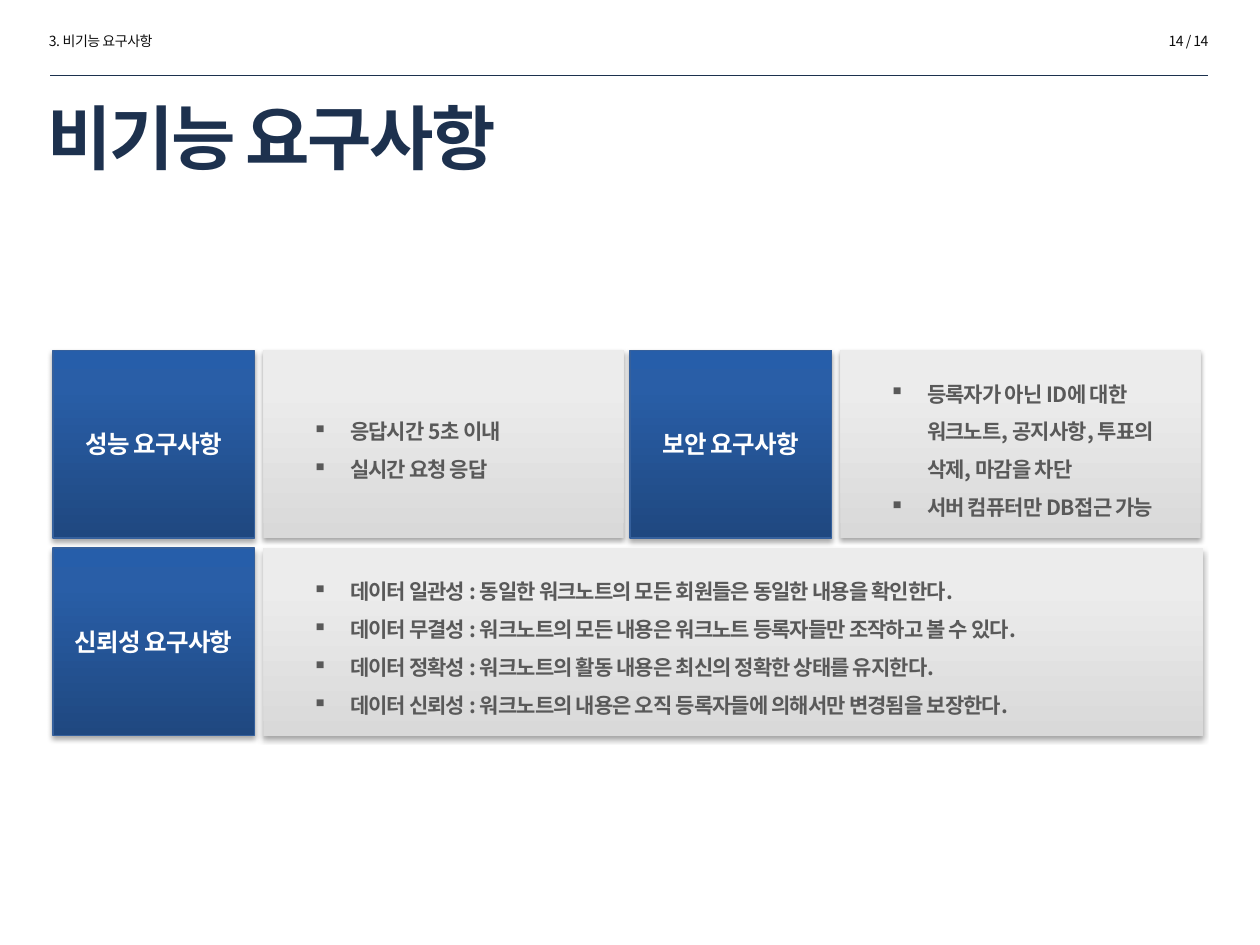
from lxml.etree import SubElement
from pptx import Presentation
from pptx.dml.color import RGBColor
from pptx.enum.shapes import MSO_CONNECTOR, MSO_SHAPE
from pptx.enum.text import MSO_ANCHOR, PP_ALIGN
from pptx.oxml import parse_xml
from pptx.oxml.ns import nsdecls, qn
from pptx.util import Inches, Pt

FONT = "Noto Sans CJK KR"
BLUE = [(0, "1F4880"), (80, "295EA7"), (100, "265EAA")]
GRAY = [(0, "D9D9D9"), (80, "ECECEC")]


def write(shape, lines, size, color, spacing, bold=False, align=PP_ALIGN.LEFT,
          anchor=MSO_ANCHOR.TOP, bullets=False):
    """Fill a shape with one paragraph per line; spacing is in points."""
    frame = shape.text_frame
    frame.word_wrap = True
    frame.vertical_anchor = anchor
    for index, line in enumerate(lines):
        paragraph = frame.add_paragraph() if index else frame.paragraphs[0]
        paragraph.alignment = align
        if bullets:
            paragraph.line_spacing = 1.5
            properties = paragraph._p.get_or_add_pPr()
            properties.set("marL", str(Inches(0.59)))
            properties.set("indent", str(Inches(-0.3)))
            SubElement(properties, qn("a:buChar"), char="▪")
        span = paragraph.add_run()
        span.text = line
        span.font.size = Pt(size)
        span.font.bold = bold
        span.font.name = FONT
        span.font.color.rgb = RGBColor.from_string(color)
        run_properties = span._r.get_or_add_rPr()
        run_properties.set("spc", str(int(spacing * 100)))
        SubElement(run_properties, qn("a:ea"), typeface=FONT)


def add_panel(left, top, width, stops, border=None):
    """Add a rectangle with a bottom-to-top gradient and a soft shadow."""
    panel = page.shapes.add_shape(MSO_SHAPE.RECTANGLE, Inches(left), Inches(top),
                                  Inches(width), Inches(1.49))
    if border:
        panel.line.color.rgb = RGBColor.from_string(border)
        panel.line.width = Pt(0.75)
    else:
        panel.line.fill.background()
    stop_xml = "".join(f'<a:gs pos="{place * 1000}"><a:srgbClr val="{color}"/></a:gs>'
                       for place, color in stops)
    properties = panel._element.spPr
    properties.find(qn("a:prstGeom")).addnext(parse_xml(
        f'<a:gradFill {nsdecls("a")} rotWithShape="1"><a:gsLst>{stop_xml}</a:gsLst>'
        '<a:lin ang="16200000" scaled="0"/></a:gradFill>'))
    panel.shadow.inherit = False
    properties.find(qn("a:effectLst")).append(parse_xml(
        f'<a:outerShdw {nsdecls("a")} blurRad="{Pt(3.1)}" dist="{Pt(1.8)}" dir="5400000" '
        'rotWithShape="0"><a:srgbClr val="000000"><a:alpha val="35000"/></a:srgbClr>'
        '</a:outerShdw>'))
    return panel


deck = Presentation()
deck.slide_width, deck.slide_height = Inches(10), Inches(7.5)
page = deck.slides.add_slide(deck.slide_layouts[6])

# Header and title
for left, text, align in [(0.29, "3. 비기능 요구사항", PP_ALIGN.LEFT),
                          (7.96, "14 / 14", PP_ALIGN.RIGHT)]:
    box = page.shapes.add_textbox(Inches(left), Inches(0.21), Inches(1.73), Inches(0.24))
    write(box, [text], 8, "0D0D0D", -0.3, align=align)

rule = page.shapes.add_connector(MSO_CONNECTOR.STRAIGHT, Inches(0.4), Inches(0.6),
                                 Inches(9.59), Inches(0.6))
rule.line.color.rgb = RGBColor.from_string("1C314E")
rule.line.width = Pt(0.25)
SubElement(rule._element.spPr, qn("a:effectLst"))

title = page.shapes.add_textbox(Inches(0.28), Inches(0.58), Inches(9.16), Inches(1))
write(title, ["비기능 요구사항"], 40, "1D314E", -1.5, bold=True, anchor=MSO_ANCHOR.MIDDLE)

# Requirement groups: left, top, detail width, heading, details
groups = [
    (0.42, 2.78, 2.86, "성능 요구사항", ["응답시간 5초 이내", "실시간 요청 응답"]),
    (0.42, 4.35, 7.46, "신뢰성 요구사항", [
        "데이터 일관성 : 동일한 워크노트의 모든 회원들은 동일한 내용을 확인한다.",
        "데이터 무결성 : 워크노트의 모든 내용은 워크노트 등록자들만 조작하고 볼 수 있다.",
        "데이터 정확성 : 워크노트의 활동 내용은 최신의 정확한 상태를 유지한다.",
        "데이터 신뢰성 : 워크노트의 내용은 오직 등록자들에 의해서만 변경됨을 보장한다."]),
    (5, 2.78, 2.86, "보안 요구사항", [
        "등록자가 아닌 ID에 대한 워크노트, 공지사항, 투표의 삭제, 마감을 차단",
        "서버 컴퓨터만 DB접근 가능"]),
]
for left, top, width, heading, details in groups:
    write(add_panel(left, top, 1.6, BLUE, "35609C"), [heading], 14, "FFFFFF", -0.5,
          bold=True, align=PP_ALIGN.CENTER, anchor=MSO_ANCHOR.MIDDLE)
    write(add_panel(left + 1.67, top, width, GRAY), details, 12, "595959", -0.5,
          bold=True, anchor=MSO_ANCHOR.MIDDLE, bullets=True)

deck.save("out.pptx")
